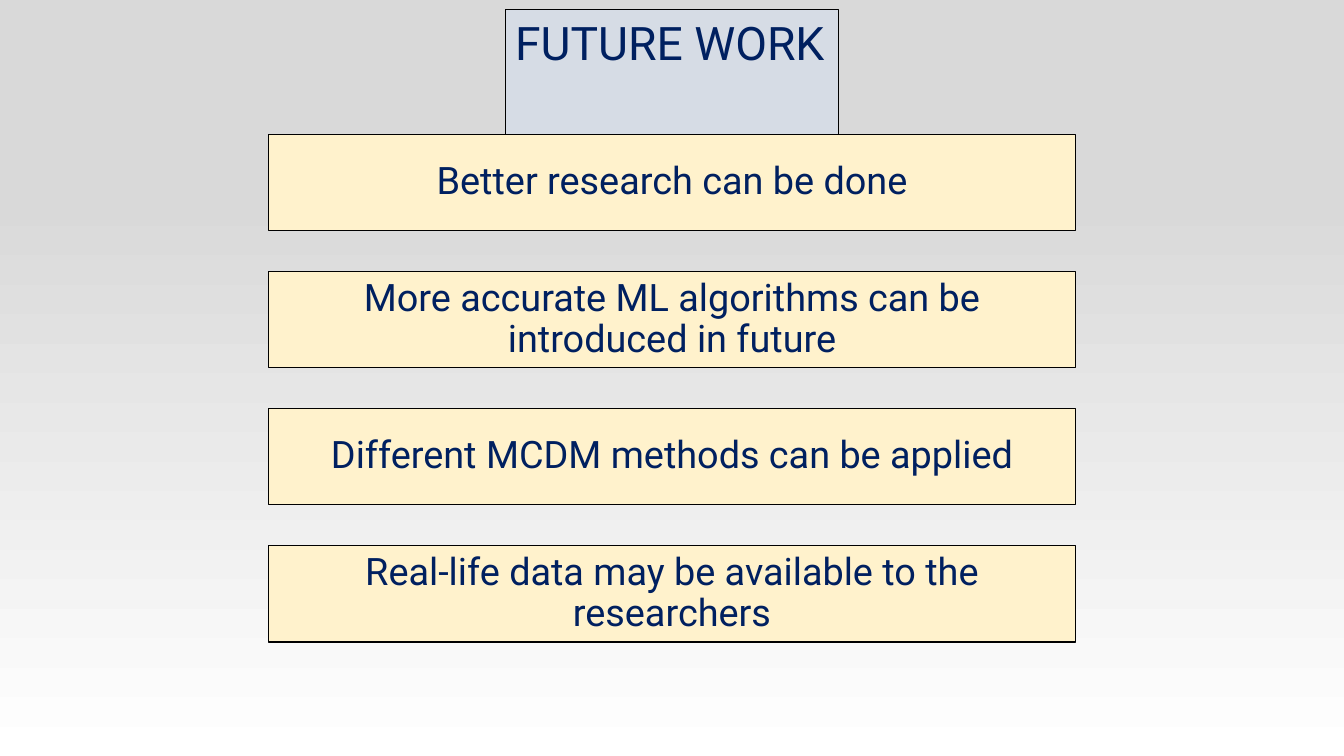
from copy import deepcopy
from dataclasses import dataclass

from pptx import Presentation
from pptx.dml.color import RGBColor as Rgb
from pptx.enum.shapes import MSO_SHAPE as Preset
from pptx.enum.text import MSO_ANCHOR as Anchor, MSO_AUTO_SIZE as AutoSize, PP_ALIGN as Align
from pptx.oxml.ns import qn
from pptx.util import Emu, Pt

EMU_PER_PX = 9144  # 100 px to the inch
SLIDE_WIDTH, SLIDE_HEIGHT = 1333, 750
TITLE_ONLY = 5

IDEAS = (
    "Better research can be done",
    "More accurate ML algorithms can be introduced in future",
    "Different MCDM methods can be applied",
    "Real-life data may be available to the researchers",
)
IDEA_LEFT, IDEA_TOP, IDEA_WIDTH, IDEA_HEIGHT = 266, 133, 801, 96
IDEA_PITCH = 136


@dataclass(frozen=True)
class Theme:
    font: str = "Roboto"
    ink: Rgb = Rgb.from_string("002060")
    border: Rgb = Rgb.from_string("000000")
    title_fill: Rgb = Rgb.from_string("D6DCE5")
    idea_fill: Rgb = Rgb.from_string("FFF2CC")
    backdrop_low: Rgb = Rgb.from_string("FFFFFF")
    backdrop_high: Rgb = Rgb.from_string("D9D9D9")
    title_size: int = 33
    idea_size: int = 27
    border_width: float = 0.75


def px(length):
    return Emu(length * EMU_PER_PX)


class SlideBuilder:
    def __init__(self, slide, theme):
        self.slide = slide
        self.theme = theme

    def backdrop(self):
        """Fade upwards from the low colour, holding the high one from 74 %."""
        fill = self.slide.background.fill
        fill.gradient()
        fill.gradient_angle = 90
        low, high = fill.gradient_stops
        low.color.rgb, low.position = self.theme.backdrop_low, 0
        high.color.rgb, high.position = self.theme.backdrop_high, 1
        stops = self.slide.element.find(".//" + qn("a:gsLst"))
        hold = deepcopy(stops[1])
        hold.set("pos", "74000")
        stops.insert(1, hold)

    def panel(self, shape, fill):
        shape.fill.solid()
        shape.fill.fore_color.rgb = fill
        shape.line.color.rgb = self.theme.border
        shape.line.width = Pt(self.theme.border_width)

    def label(self, frame, words, size, align, spacing):
        frame.word_wrap = True
        paragraph = frame.paragraphs[0]
        paragraph.alignment = align
        paragraph.line_spacing = spacing
        run = paragraph.add_run()
        run.text = words
        run.font.name = self.theme.font
        run.font.size = Pt(size)
        run.font.color.rgb = self.theme.ink

    def title(self, words, left, top, width, height):
        heading = self.slide.shapes.title
        heading.left, heading.top = px(left), px(top)
        heading.width, heading.height = px(width), px(height)
        self.panel(heading, self.theme.title_fill)
        frame = heading.text_frame
        frame.auto_size = AutoSize.SHAPE_TO_FIT_TEXT
        frame.vertical_anchor = Anchor.TOP
        self.label(frame, words, self.theme.title_size, Align.LEFT, 1.0)

    def idea(self, words, left, top, width, height):
        box = self.slide.shapes.add_shape(
            Preset.RECTANGLE, px(left), px(top), px(width), px(height))
        box.shadow.inherit = False
        self.panel(box, self.theme.idea_fill)
        frame = box.text_frame
        frame.vertical_anchor = Anchor.MIDDLE
        frame.margin_left = frame.margin_right = px(13)
        frame.margin_top = frame.margin_bottom = px(13)
        self.label(frame, words, self.theme.idea_size, Align.CENTER, 0.9)


def main():
    deck = Presentation()
    deck.slide_width, deck.slide_height = px(SLIDE_WIDTH), px(SLIDE_HEIGHT)
    slide = deck.slides.add_slide(deck.slide_layouts[TITLE_ONLY])
    builder = SlideBuilder(slide, Theme())
    builder.backdrop()
    builder.title("FUTURE WORK", 501, 9, 331, 66)
    for row, words in enumerate(IDEAS):
        builder.idea(words, IDEA_LEFT, IDEA_TOP + row * IDEA_PITCH, IDEA_WIDTH, IDEA_HEIGHT)
    deck.save("out.pptx")


if __name__ == "__main__":
    main()
